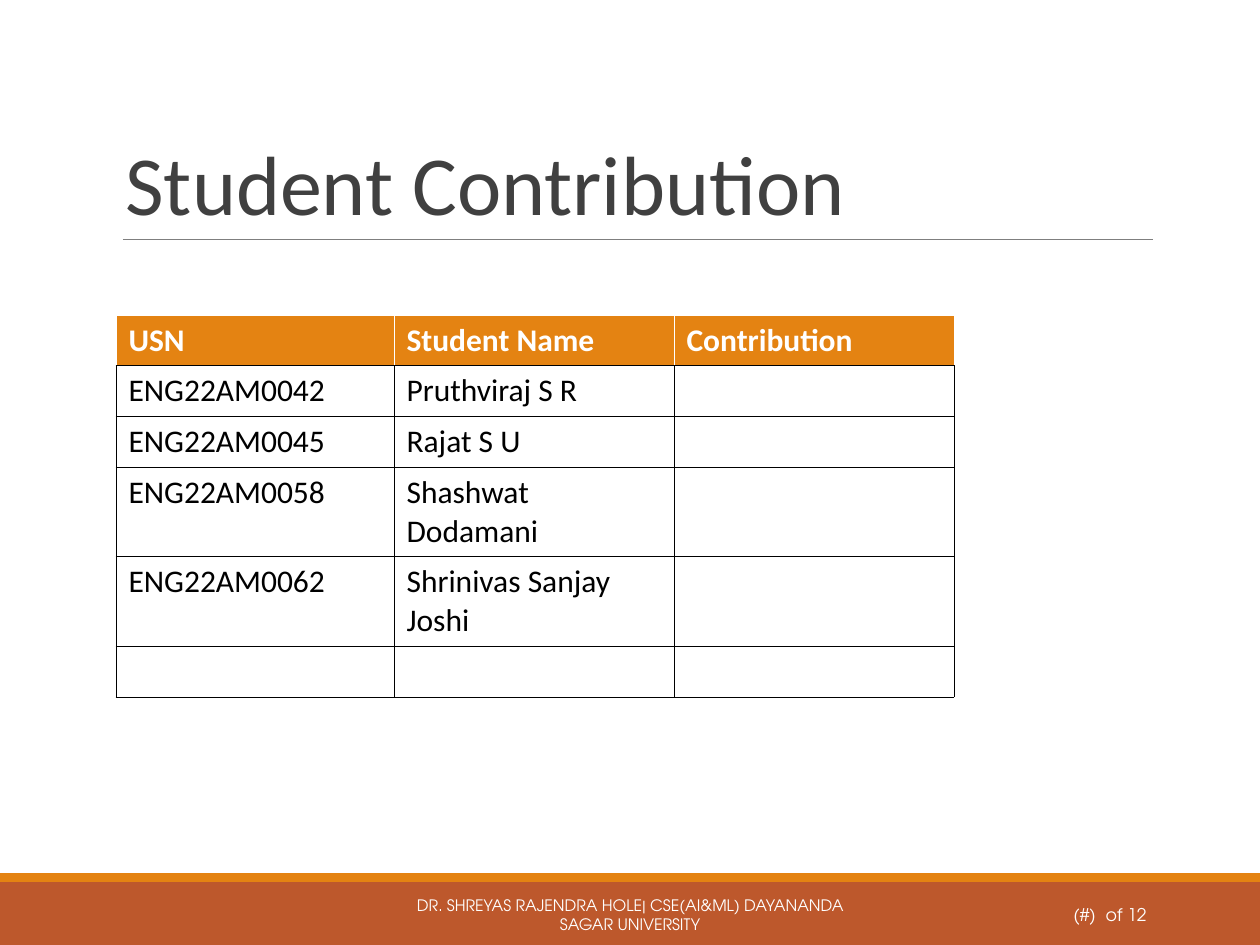
from lxml import etree
from pptx import Presentation, util as u
from pptx.dml.color import RGBColor
from pptx.enum import shapes, text
from pptx.oxml.ns import qn

PX = 914400 / 126
WHITE = RGBColor(0xFF, 0xFF, 0xFF)
BLACK = RGBColor(0, 0, 0)
ORANGE = RGBColor(0xE4, 0x83, 0x12)
RUST = RGBColor(0xBD, 0x58, 0x2C)
GREY = RGBColor(0x7F, 0x7F, 0x7F)
DARK = RGBColor(0x40, 0x40, 0x40)
BODY = "Calibri"
FOOT = "TeX Gyre Adventor"

ROWS = [
    ("USN", "Student Name", "Contribution"),
    ("ENG22AM0042", "Pruthviraj S R", ""),
    ("ENG22AM0045", "Rajat S U", ""),
    ("ENG22AM0058", "Shashwat Dodamani", ""),
    ("ENG22AM0062", "Shrinivas Sanjay Joshi", ""),
    ("", "", ""),
]
WIDTHS = (278, 280, 280)
HEIGHTS = (50, 51, 51, 89, 90, 50)


def px(*vals):
    return [u.Emu(round(v * PX)) for v in vals]


def style(para, face, size, color, bold=False):
    font = para.font
    font.name, font.size, font.bold = face, u.Pt(size), bold
    font.color.rgb = color


def label(slide, box, words, face, size, color, align, anchor):
    frame = slide.shapes.add_textbox(*px(*box)).text_frame
    frame.word_wrap = True
    frame.vertical_anchor = anchor
    para = frame.paragraphs[0]
    para.text = words
    para.alignment = align
    style(para, face, size, color)
    return para


def band(slide, box, color):
    shape = slide.shapes.add_shape(shapes.MSO_SHAPE.RECTANGLE, *px(*box))
    shape.shadow.inherit = False
    shape.fill.solid()
    shape.fill.fore_color.rgb = color
    shape.line.fill.background()


def header(slide, x, y, w, h):
    para = label(slide, (x, y, w, h), "Student Contribution", BODY, 48, DARK,
                 text.PP_ALIGN.LEFT, text.MSO_ANCHOR.BOTTOM)
    para.line_spacing = 0.85
    rule = slide.shapes.add_connector(
        shapes.MSO_CONNECTOR.STRAIGHT, *px(x + 10, y + h, x + w, y + h))
    rule.line.color.rgb = GREY
    rule.line.width = u.Pt(0.5)
    etree.SubElement(rule._element.spPr, qn("a:effectLst"))


def footer(slide, x, y, w, h):
    band(slide, (x, y + 9, w, h - 9), RUST)
    band(slide, (x, y, w, 9), ORANGE)
    mid = text.MSO_ANCHOR.MIDDLE
    label(slide, (x + 381, y + 17, 498, 50),
          "DR. SHREYAS RAJENDRA HOLE| CSE(AI&ML) DAYANANDA SAGAR UNIVERSITY",
          FOOT, 9, WHITE, text.PP_ALIGN.CENTER, mid)
    label(slide, (x + 1023, y + 17, 136, 50), "(#)  of 12",
          FOOT, 10, WHITE, text.PP_ALIGN.RIGHT, mid)


def border(cell, colors):
    props = cell._tc.get_or_add_tcPr()
    for spot, (side, color) in enumerate(zip("LRTB", colors)):
        line = etree.Element(qn(f"a:ln{side}"), w=str(u.Pt(0.45)))
        fill = etree.SubElement(line, qn("a:solidFill"))
        etree.SubElement(fill, qn("a:srgbClr"), val=str(color))
        props.insert(spot, line)


def roster(slide, x, y):
    box = px(x, y, sum(WIDTHS), sum(HEIGHTS))
    table = slide.shapes.add_table(len(ROWS), len(WIDTHS), *box).table
    for col, width in zip(table.columns, px(*WIDTHS)):
        col.width = width
    for row, height in zip(table.rows, px(*HEIGHTS)):
        row.height = height
    for r, names in enumerate(ROWS):
        head = r == 0
        for c, name in enumerate(names):
            cell = table.cell(r, c)
            cell.text = name
            style(cell.text_frame.paragraphs[0], BODY, 18,
                  WHITE if head else BLACK, head)
            cell.fill.solid()
            cell.fill.fore_color.rgb = ORANGE if head else WHITE
            border(cell, [WHITE] * 3 + [BLACK] if head else [BLACK] * 4)


def main():
    deck = Presentation()
    deck.slide_width, deck.slide_height = px(1260, 945)
    slide = deck.slides.add_slide(deck.slide_layouts[6])
    footer(slide, 0, 873, 1260, 72)
    header(slide, 113, 39, 1040, 200)
    roster(slide, 116, 315)
    deck.save("out.pptx")


if __name__ == "__main__":
    main()
